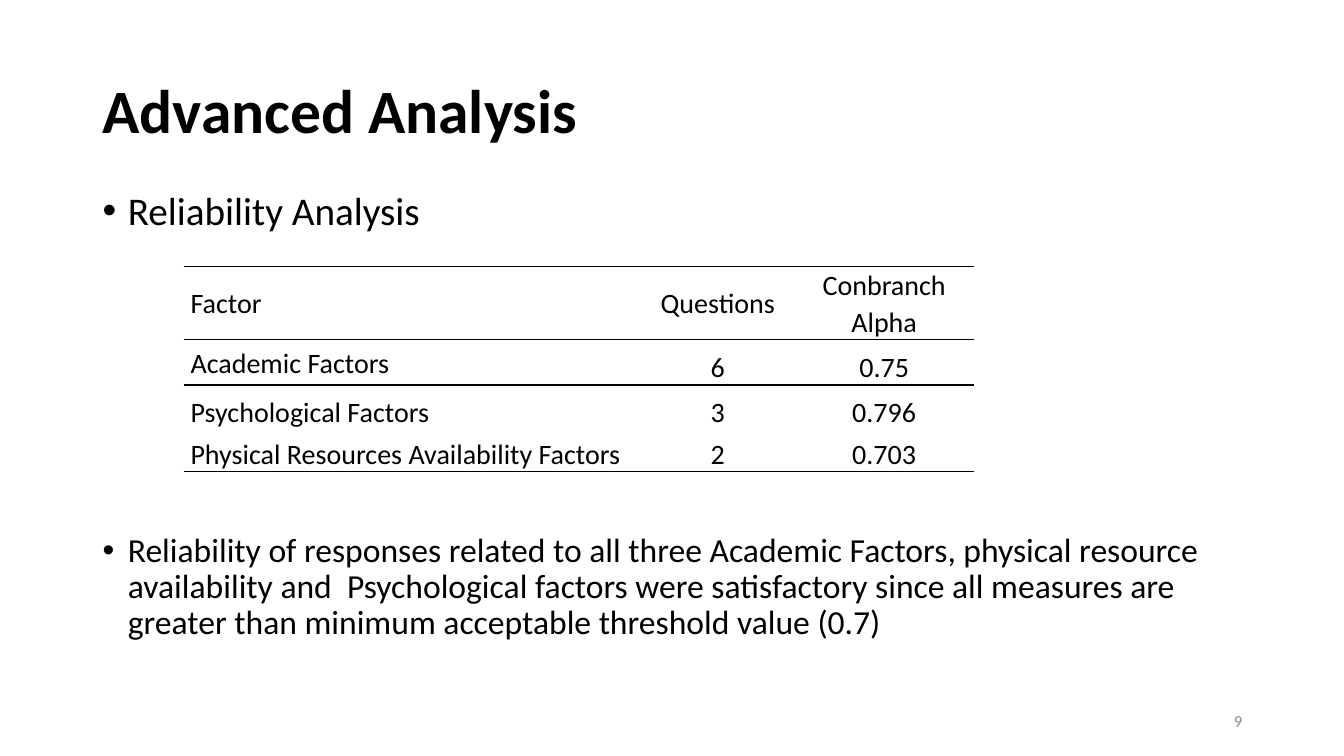
"""Build the reliability analysis slide."""
import pptx
import pptx.dml.color
import pptx.enum.text
import pptx.oxml
import pptx.oxml.ns
import pptx.util
from pptx.util import Inches

ALIGN = pptx.enum.text.PP_ALIGN
ANCHOR = pptx.enum.text.MSO_ANCHOR
BLACK = "000000"
ROWS = [
    ("Factor", "Questions", "Conbranch Alpha"),
    ("Academic Factors", "6", "0.75"),
    ("Psychological Factors", "3", "0.796"),
    ("Physical Resources Availability Factors", "2", "0.703"),
]
COL_WIDTHS = (4.54, 1.52, 1.78)
ROW_HEIGHTS = (0.73, 0.45, 0.45, 0.41)
RULED_ROWS = (0, 1, 3)
CONCLUSION = (
    "Reliability of responses related to all three Academic Factors, physical "
    "resource availability and  Psychological factors were satisfactory since "
    "all measures are greater than minimum acceptable threshold value (0.7)"
)


def rgb(color):
    """Return the colour for a hex string."""
    return pptx.dml.color.RGBColor.from_string(color)


def set_attrs(obj, values):
    """Set each named value on an object."""
    for name, value in values.items():
        setattr(obj, name, value)


def write(p, text, size, color=BLACK, bold=False, **layout):
    """Write one formatted run into a paragraph."""
    set_attrs(p, layout)
    r = p.add_run()
    r.text = text
    set_attrs(r.font, {"name": "Calibri", "size": pptx.util.Pt(size), "bold": bold})
    r.font.color.rgb = rgb(color)


def add_box(s, left, top, width, height, anchor):
    """Add a wrapping text box and return its text frame."""
    sp = s.shapes.add_textbox(*map(Inches, (left, top, width, height)))
    tf = sp.text_frame
    set_attrs(tf, {"word_wrap": True, "vertical_anchor": anchor})
    return tf


def add_bullet(p, text, size, space_before):
    """Write a bulleted paragraph with a hanging indent."""
    write(p, text, size, line_spacing=0.9, space_before=pptx.util.Pt(space_before))
    pPr = p._p.get_or_add_pPr()
    pPr.set("marL", str(Inches(0.25)))
    pPr.set("indent", str(Inches(-0.25)))
    ns = pptx.oxml.ns.nsdecls("a")
    for tag in ('buFont typeface="Arial"', 'buChar char="•"'):
        pPr.append(pptx.oxml.parse_xml(f"<a:{tag} {ns}/>"))


def set_borders(cell, ruled):
    """Rule the named sides of a cell and clear the others."""
    ns = pptx.oxml.ns.nsdecls("a")
    for side in "LRTB":
        fill = "<a:noFill/>"
        if side in ruled:
            fill = f'<a:solidFill><a:srgbClr val="{BLACK}"/></a:solidFill>'
        line = f'<a:ln{side} {ns} w="{pptx.util.Pt(1)}">{fill}</a:ln{side}>'
        cell._tc.get_or_add_tcPr().append(pptx.oxml.parse_xml(line))


def add_factor_table(s):
    """Add the table of reliability factors."""
    size = sum(COL_WIDTHS), sum(ROW_HEIGHTS)
    frame = s.shapes.add_table(
        len(ROWS), len(COL_WIDTHS), *map(Inches, (1.82, 2.64, *size))
    )
    table = frame.table
    set_attrs(table, {"first_row": False, "horz_banding": False})
    for column, width in zip(table.columns, COL_WIDTHS):
        column.width = Inches(width)
    for i, (height, texts) in enumerate(zip(ROW_HEIGHTS, ROWS)):
        table.rows[i].height = Inches(height)
        top = "T" if i == 0 or i - 1 in RULED_ROWS else ""
        bottom = "B" if i in RULED_ROWS else ""
        for j, text in enumerate(texts):
            cell = table.cell(i, j)
            middle = i == 0 or (i == 1 and j == 0)
            set_attrs(cell, {
                "margin_left": Inches(0.07), "margin_right": Inches(0.07),
                "margin_top": 0, "margin_bottom": 0,
                "vertical_anchor": ANCHOR.MIDDLE if middle else ANCHOR.BOTTOM,
            })
            set_borders(cell, top + bottom)
            cell.fill.background()
            write(cell.text_frame.paragraphs[0], text, 20, line_spacing=1.07,
                  alignment=ALIGN.CENTER if j else ALIGN.LEFT)


def main():
    """Build and save the slide."""
    prs = pptx.Presentation()
    set_attrs(prs, {"slide_width": Inches(13.33), "slide_height": Inches(7.5)})
    s = prs.slides.add_slide(prs.slide_layouts[6])

    tf = add_box(s, 0.92, 0.4, 11.5, 1.45, ANCHOR.MIDDLE)
    write(tf.paragraphs[0], "Advanced Analysis", 44, bold=True, line_spacing=0.9)

    tf = add_box(s, 0.92, 1.85, 11.71, 5.03, ANCHOR.TOP)
    add_bullet(tf.paragraphs[0], "Reliability Analysis", 28, 10)
    add_bullet(tf.add_paragraph(), CONCLUSION, 24, 214)

    add_factor_table(s)

    tf = add_box(s, 9.42, 6.95, 3, 0.4, ANCHOR.MIDDLE)
    write(tf.paragraphs[0], "9", 12, "8C8C8C", alignment=ALIGN.RIGHT)
    prs.save("out.pptx")


if __name__ == "__main__":
    main()
